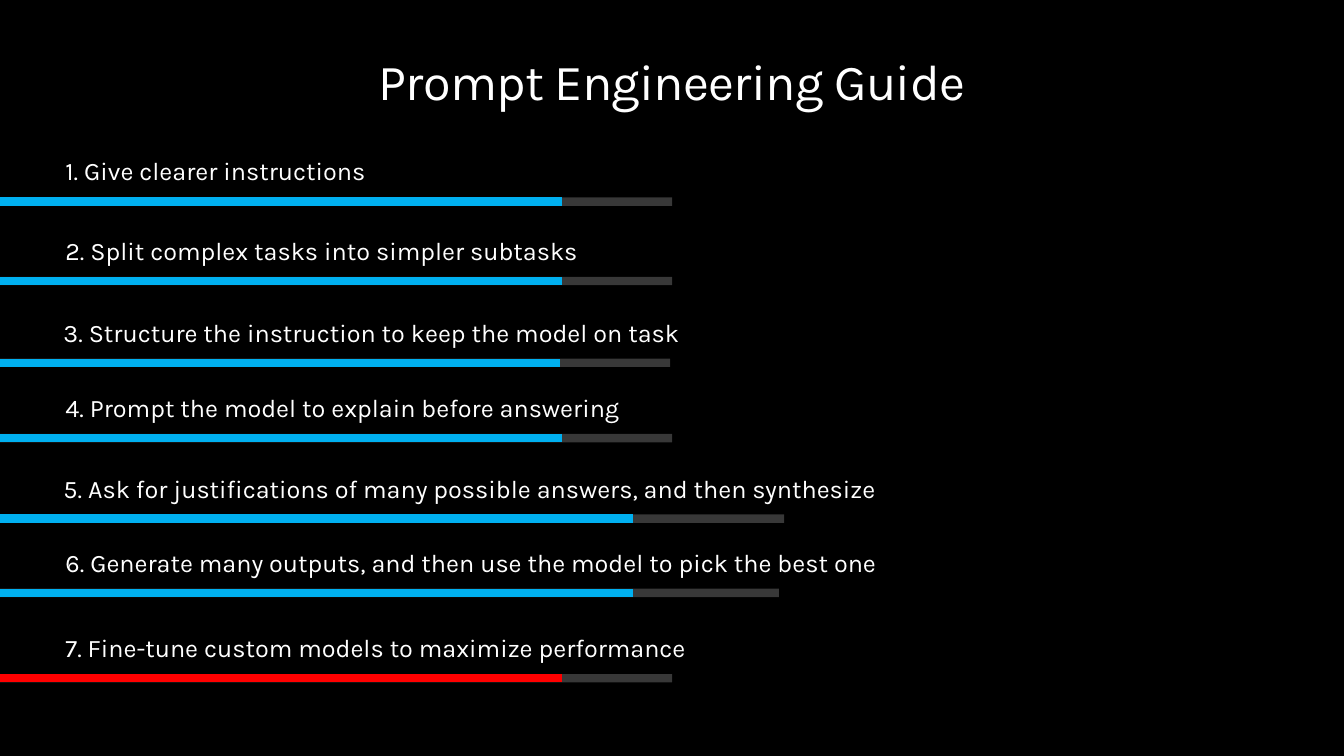
from lxml import etree
from pptx import Presentation
from pptx import util as u
from pptx.dml.color import RGBColor
from pptx.enum import shapes, text
from pptx.oxml.ns import qn

COLORS = {"background": "000000", "text": "FFFFFF", "track": "FFFFFF",
          "progress": "00B0F0", "highlight": "FF0000"}

TIPS = [
    ("1. Give clearer instructions", 0, 5.08, 16.94, 14.17, "progress"),
    ("2. Split complex tasks into simpler subtasks", 0, 7.08, 16.94, 14.17, "progress"),
    ("3. Structure the instruction to keep the model on task", -0.05, 9.14, 16.94, 14.17, "progress"),
    ("4. Prompt the model to explain before answering", 0, 11.04, 16.94, 14.17, "progress"),
    ("5. Ask for justifications of many possible answers, and then synthesize",
     -0.05, 13.07, 19.81, 16, "progress"),
    ("6. Generate many outputs, and then use the model to pick the best one",
     0, 14.94, 19.63, 15.95, "progress"),
    ("7. Fine-tune custom models to maximize performance", 0, 17.09, 16.94, 14.17, "highlight"),
]
TIP_LEFT = 1.4
TIP_RISE = 1.28


def write(frame, wording, size=18, font="Karla", color="text",
          align=text.PP_ALIGN.LEFT, spacing=None):
    paragraph = frame.paragraphs[0]
    paragraph.alignment = align
    run = paragraph.add_run()
    run.text = wording
    run.font.size = u.Pt(size)
    run.font.name = font
    run.font.color.rgb = RGBColor.from_string(COLORS[color])
    if spacing is not None:
        run._r.get_or_add_rPr().set("spc", str(int(spacing * 100)))


class GuideSlide:
    def __init__(self, deck, bar_weight=6):
        self.slide = deck.slides.add_slide(deck.slide_layouts[6])
        self.bar_weight = bar_weight
        fill = self.slide.background.fill
        fill.solid()
        fill.fore_color.rgb = RGBColor.from_string(COLORS["background"])

    def label(self, wording, left, top, width, height, inset=None, **style):
        box = self.slide.shapes.add_textbox(*map(u.Cm, (left, top, width, height)))
        frame = box.text_frame
        frame.word_wrap = True
        if inset is not None:
            frame.margin_left = frame.margin_right = u.Cm(inset)
            frame.margin_top = frame.margin_bottom = u.Cm(inset)
        write(frame, wording, **style)

    def bar(self, left, y, length, color, opacity=None):
        line = self.slide.shapes.add_connector(
            shapes.MSO_CONNECTOR.STRAIGHT,
            u.Cm(left), u.Cm(y), u.Cm(left + length), u.Cm(y))
        line.line.width = u.Pt(self.bar_weight)
        line.line.color.rgb = RGBColor.from_string(COLORS[color])
        properties = line._element.spPr
        if opacity is not None:
            tint = next(properties.iter(qn("a:srgbClr")))
            etree.SubElement(tint, qn("a:alpha")).set("val", str(opacity * 1000))
        etree.SubElement(properties, qn("a:effectLst"))


def main():
    deck = Presentation()
    deck.slide_width, deck.slide_height = u.Cm(33.87), u.Cm(19.05)
    guide = GuideSlide(deck)

    guide.label("Prompt Engineering Guide", 1.63, 1.27, 30.61, 1.55, inset=0,
                size=36, align=text.PP_ALIGN.CENTER, spacing=-0.5)
    for tip, shift, y, track, progress, color in TIPS:
        guide.bar(shift, y, track, "track", opacity=21)
        guide.bar(shift, y, progress, color)
        guide.label(tip, TIP_LEFT + shift, y - TIP_RISE, 21.84, 1.02)

    deck.save("out.pptx")


if __name__ == "__main__":
    main()
